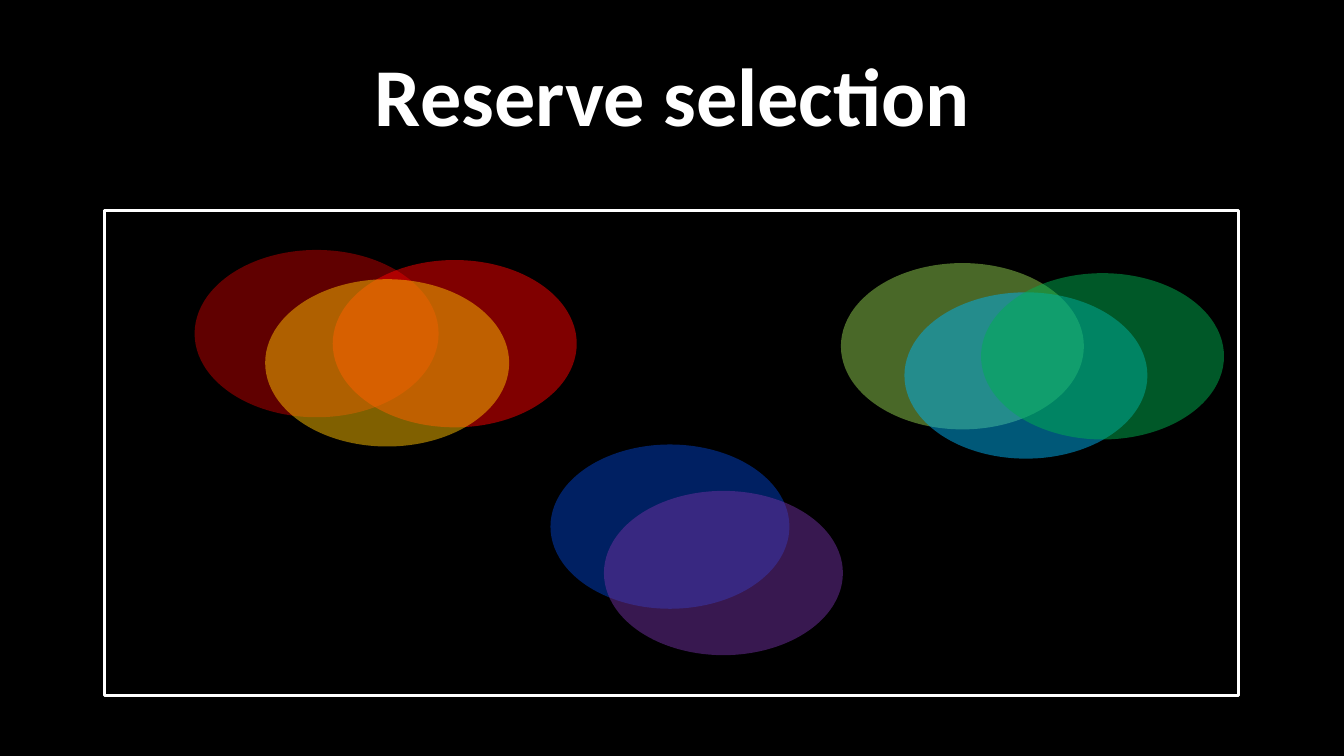
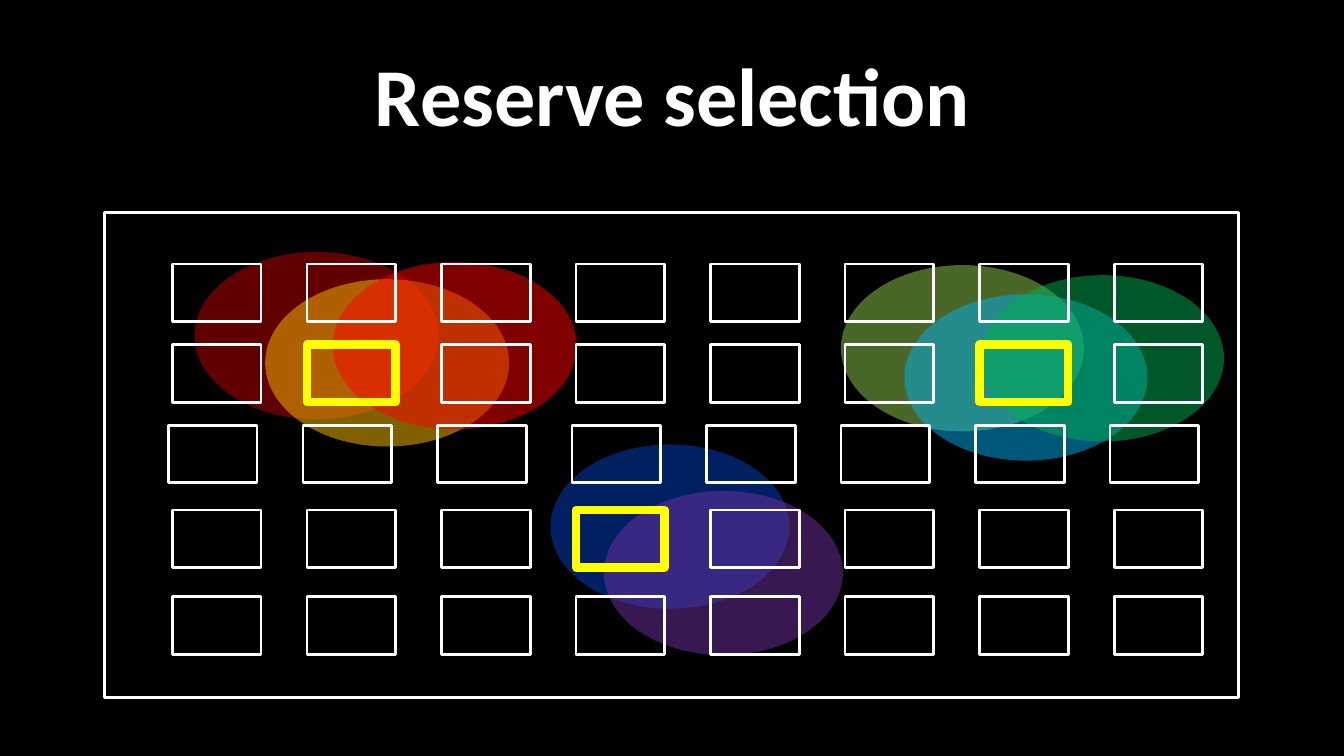
"""Build two slides on reserve selection: species ranges, then the chosen sites."""
from lxml import etree
from pptx import Presentation
from pptx.dml.color import RGBColor
from pptx.enum.shapes import MSO_SHAPE
from pptx.enum.text import MSO_ANCHOR, PP_ALIGN
from pptx.oxml.ns import qn
from pptx.util import Inches, Pt

RECT, OVAL = MSO_SHAPE.RECTANGLE, MSO_SHAPE.OVAL
MIDDLE, CENTER = MSO_ANCHOR.MIDDLE, PP_ALIGN.CENTER

BLACK = RGBColor(0x00, 0x00, 0x00)
WHITE = RGBColor(0xFF, 0xFF, 0xFF)
YELLOW = RGBColor(0xFF, 0xFF, 0x00)
MAROON = RGBColor(0xC0, 0x00, 0x00)
RED = RGBColor(0xFF, 0x00, 0x00)
GOLD = RGBColor(0xFF, 0xC0, 0x00)
LIME = RGBColor(0x92, 0xD0, 0x50)
AQUA = RGBColor(0x00, 0xB0, 0xF0)
GREEN = RGBColor(0x00, 0xB0, 0x50)
BLUE = RGBColor(0x00, 0x41, 0xC4)
PURPLE = RGBColor(0x70, 0x30, 0xA0)

TITLE = "Reserve selection"
TITLE_BOX = (0.67, 0.3, 12, 1.25)
TITLE_FONT = {"name": "Calibri", "size": Pt(58.7), "bold": True}
FRAME = (1.04, 2.09, 11.24, 4.81)

WARM, COOL, DEEP = (2.42, 1.66), (2.41, 1.65), (2.37, 1.63)
RANGES = {
    MAROON: (1.93, 2.48, *WARM),
    RED: (3.3, 2.58, *WARM),
    GOLD: (2.63, 2.77, *WARM),
    LIME: (8.34, 2.61, *COOL),
    AQUA: (8.97, 2.9, *COOL),
    GREEN: (9.73, 2.71, *COOL),
    BLUE: (5.46, 4.41, *DEEP),
    PURPLE: (5.99, 4.87, *DEEP),
}
FIXED = {GOLD, BLUE, PURPLE}

COLS, LEFT, SPAN = 8, 1.71, 9.34
CELL = (0.88, 0.57)
ROWS = [(0, 2.62), (0, 3.42), (-0.04, 4.22), (0, 5.06), (0, 5.92)]
CHOSEN = {(1, 1), (1, 6), (3, 3)}

SLIDES = [
    {"order": [BLUE, MAROON, RED, LIME, AQUA, GREEN, PURPLE, GOLD],
     "drop": 0, "sites": False},
    {"order": [BLUE, PURPLE, MAROON, GOLD, RED, LIME, AQUA, GREEN],
     "drop": 0.02, "sites": True},
]


def place(box, drop=0):
    x, y, w, h = box
    return [Inches(v) for v in (x, y + drop, w, h)]


def add_title(slide):
    frame = slide.shapes.add_textbox(*place(TITLE_BOX)).text_frame
    frame.word_wrap = True
    frame.vertical_anchor = MIDDLE
    para = frame.paragraphs[0]
    para.alignment = CENTER
    run = para.add_run()
    run.text = TITLE
    for key, value in TITLE_FONT.items():
        setattr(run.font, key, value)
    run.font.color.rgb = WHITE


def add_box(slide, box, color=WHITE, width=2, drop=0):
    shape = slide.shapes.add_shape(RECT, *place(box, drop))
    shape.shadow.inherit = False
    shape.fill.background()
    shape.line.color.rgb = color
    shape.line.width = Pt(width)


def add_range(slide, color, drop):
    shift = 0 if color in FIXED else drop
    shape = slide.shapes.add_shape(OVAL, *place(RANGES[color], shift))
    shape.shadow.inherit = False
    shape.line.fill.background()
    shape.fill.solid()
    shape.fill.fore_color.rgb = color
    tint = shape.element.spPr.find(qn("a:solidFill"))[0]
    etree.SubElement(tint, qn("a:alpha"), val="50000")


def add_sites(slide):
    for row, (shift, top) in enumerate(ROWS):
        for col in range(COLS):
            left = LEFT + shift + SPAN * col / (COLS - 1)
            style = (YELLOW, 6) if (row, col) in CHOSEN else (WHITE, 2)
            add_box(slide, (left, top, *CELL), *style)


def main():
    deck = Presentation()
    deck.slide_width, deck.slide_height = Inches(13.33), Inches(7.5)
    back = deck.slide_master.background.fill
    back.solid()
    back.fore_color.rgb = BLACK
    for plan in SLIDES:
        slide = deck.slides.add_slide(deck.slide_layouts[6])
        add_title(slide)
        add_box(slide, FRAME, drop=plan["drop"])
        for color in plan["order"]:
            add_range(slide, color, plan["drop"])
        if plan["sites"]:
            add_sites(slide)
    deck.save("out.pptx")


if __name__ == "__main__":
    main()
